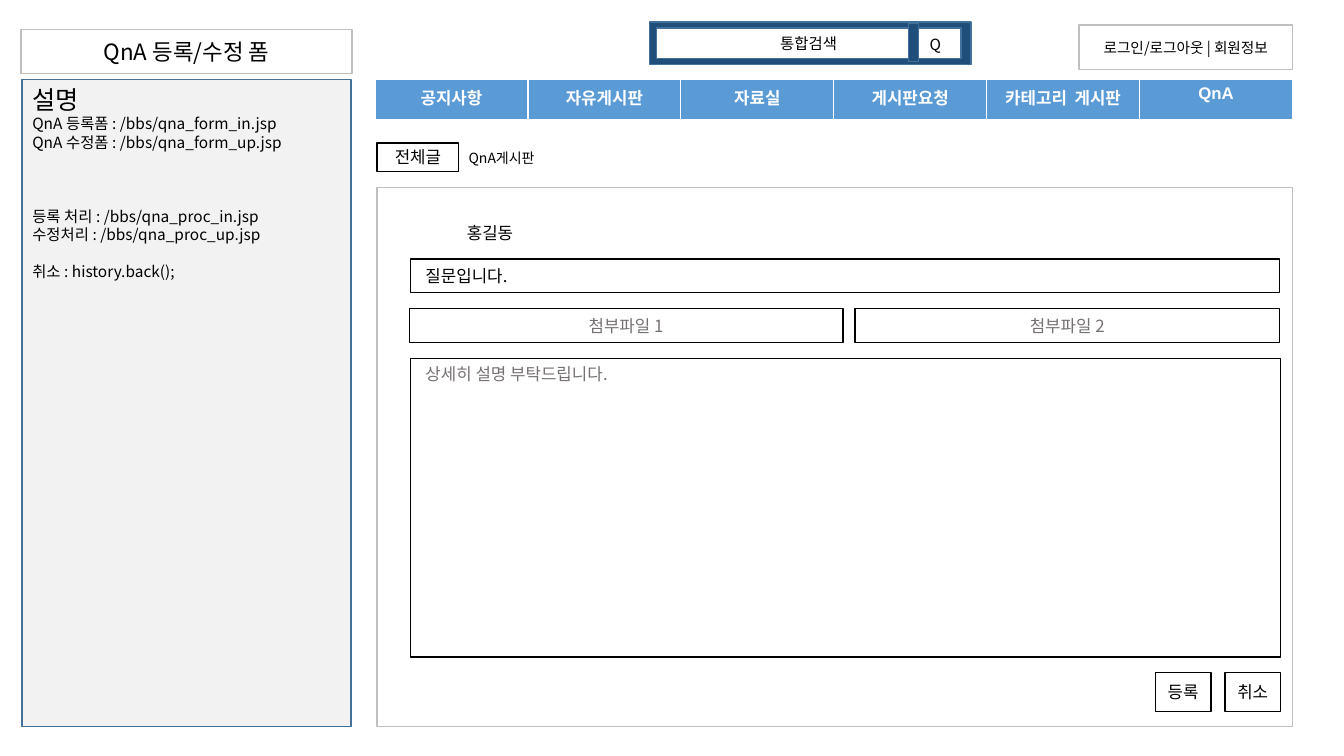
from lxml import etree
from pptx import Presentation
from pptx import util as u
from pptx.dml.color import RGBColor
from pptx.enum import shapes, text
from pptx.oxml import ns

PX = 9144  # EMU per px, 100 px to the inch
SANS, ARIAL = "Noto Sans CJK KR", "Arial"
BLACK = RGBColor(0x00, 0x00, 0x00)
WHITE = RGBColor(0xFF, 0xFF, 0xFF)
GREY = RGBColor(0x76, 0x71, 0x71)
SILVER = RGBColor(0xBF, 0xBF, 0xBF)
PANEL = RGBColor(0xF2, 0xF2, 0xF2)
NAVY = RGBColor(0x1E, 0x4E, 0x79)
STEEL = RGBColor(0x42, 0x71, 0x9B)
BLUE = RGBColor(0x5B, 0x9B, 0xD5)

CENTER, LEFT = text.PP_ALIGN.CENTER, text.PP_ALIGN.LEFT
MIDDLE, TOP = text.MSO_ANCHOR.MIDDLE, text.MSO_ANCHOR.TOP

MENU = ["공지사항", "자유게시판", "자료실", "게시판요청", "카테고리  게시판", "QnA"]
# text, size, line height, space before
NOTES = [
    ("설명", 18, 21.3, 0),
    ("QnA 등록폼 : /bbs/qna_form_in.jsp", 11, 13.2, 0),
    ("QnA 수정폼 : /bbs/qna_form_up.jsp", 11, 13.2, 0),
    ("등록 처리 : /bbs/qna_proc_in.jsp", 11, 13.2, 39.6),
    ("수정처리 : /bbs/qna_proc_up.jsp", 11, 13.2, 0),
    ("취소 : history.back();", 11, 13.2, 13.2),
]


def px(*values):
    return [u.Emu(v * PX) for v in values]


def set_attrs(obj, formats):
    for name, value in formats.items():
        setattr(obj, name, value)


def place(sp, box):
    set_attrs(sp, dict(zip(("left", "top", "width", "height"), px(*box))))


def paint(sp, fill, line):
    sp.fill.solid()
    sp.fill.fore_color.rgb = fill
    if line is None:
        sp.line.fill.background()
    else:
        sp.line.color.rgb = line
        sp.line.width = u.Pt(1)


def add_run(p, words, size, color=BLACK, font=SANS, bold=False):
    r = p.add_run()
    r.text = words
    set_attrs(r.font, {"name": font, "size": u.Pt(size), "bold": bold})
    r.font.color.rgb = color
    if font == SANS:
        ea = etree.SubElement(r.font._element, ns.qn("a:ea"))
        ea.set("typeface", font)


def format_frame(tf, anchor, inset=10):
    left, side, edge = px(inset, 10, 5)
    set_attrs(tf, {
        "word_wrap": True, "auto_size": text.MSO_AUTO_SIZE.NONE,
        "vertical_anchor": anchor, "margin_left": left,
        "margin_right": side, "margin_top": edge, "margin_bottom": edge,
    })


def write(sp, words, size, color=BLACK, align=CENTER, anchor=MIDDLE, inset=10):
    format_frame(sp.text_frame, anchor, inset)
    p = sp.text_frame.paragraphs[0]
    p.alignment = align
    add_run(p, words, size, color)


def add_box(tree, box, words="", size=12, fill=WHITE, line=BLACK, **formats):
    sp = tree.add_shape(shapes.MSO_SHAPE.RECTANGLE, *px(*box))
    sp.shadow.inherit = False
    paint(sp, fill, line)
    if words:
        write(sp, words, size, **formats)


def add_label(tree, box, words, size, **formats):
    write(tree.add_textbox(*px(*box)), words, size, align=LEFT, **formats)


def add_search(tree):
    group = tree.add_group_shape().shapes
    add_box(group, (644, 22, 319, 42), fill=NAVY, line=STEEL)
    add_box(group, (651, 28, 302, 30), "통합검색", 11, line=STEEL)
    add_box(group, (901, 23, 10, 38), fill=NAVY, line=STEEL)
    add_label(group, (907, 24, 49, 40), "Q", 11, inset=15)


def add_border(cell, side, points):
    tc_pr = cell._tc.get_or_add_tcPr()
    ln = etree.SubElement(tc_pr, ns.qn("a:" + side), w=str(u.Pt(points)))
    fill = etree.SubElement(ln, ns.qn("a:solidFill"))
    etree.SubElement(fill, ns.qn("a:srgbClr"), val=str(WHITE))


def add_menu(tree):
    table = tree.add_table(1, len(MENU), *px(372, 79, 910, 41)).table
    for cell, words in zip(table.iter_cells(), MENU):
        for side, points in (("lnL", 1), ("lnR", 1), ("lnT", 1), ("lnB", 3)):
            add_border(cell, side, points)
        cell.fill.solid()
        cell.fill.fore_color.rgb = BLUE
        p = cell.text_frame.paragraphs[0]
        p.alignment = CENTER
        add_run(p, words, 12, WHITE, ARIAL, True)


def fill_title(sp):
    place(sp, (21, 29, 328, 44))
    paint(sp, WHITE, SILVER)
    write(sp, "QnA 등록/수정 폼", 16)


def fill_notes(sp):
    place(sp, (22, 79, 326, 642))
    paint(sp, PANEL, STEEL)
    tf = sp.text_frame
    format_frame(tf, TOP)
    for i, (words, size, height, gap) in enumerate(NOTES):
        p = tf.add_paragraph() if i else tf.paragraphs[0]
        set_attrs(p, {"alignment": LEFT, "line_spacing": u.Pt(height),
                      "space_before": u.Pt(gap), "space_after": u.Pt(0)})
        p_pr = p._p.get_or_add_pPr()
        p_pr.set("marL", "0")
        p_pr.set("indent", "0")
        etree.SubElement(p_pr, ns.qn("a:buNone"))
        add_run(p, words, size)


def add_form(tree):
    add_box(tree, (374, 186, 908, 535), line=SILVER)
    add_box(tree, (407, 213, 158, 35), "홍길동", line=None)
    add_box(tree, (407, 257, 862, 33), "질문입니다.", align=LEFT, inset=15)
    add_box(tree, (406, 306, 430, 34), "첨부파일 1", color=GREY)
    add_box(tree, (848, 306, 421, 34), "첨부파일 2", color=GREY)
    add_box(tree, (407, 356, 863, 296), "상세히 설명 부탁드립니다.",
            color=GREY, align=LEFT, anchor=TOP, inset=15)
    for left, words in ((1146, "등록"), (1215, "취소")):
        add_box(tree, (left, 667, 55, 39), words)


def main():
    prs = Presentation()
    prs.slide_width, prs.slide_height = px(1333, 750)
    s = prs.slides.add_slide(prs.slide_layouts[1])

    # Left column: page name and notes
    fill_title(s.shapes.title)
    fill_notes(s.placeholders[1])

    # Header: search, account and menu
    add_search(s.shapes)
    add_box(s.shapes, (1070, 25, 212, 44), "로그인/로그아웃 | 회원정보", 10.5,
            line=SILVER)
    add_menu(s.shapes)

    # Board name and entry form
    add_box(s.shapes, (374, 142, 81, 28), "전체글")
    add_label(s.shapes, (455, 143, 114, 27), "QnA게시판", 10)
    add_form(s.shapes)

    prs.save("out.pptx")


if __name__ == "__main__":
    main()
